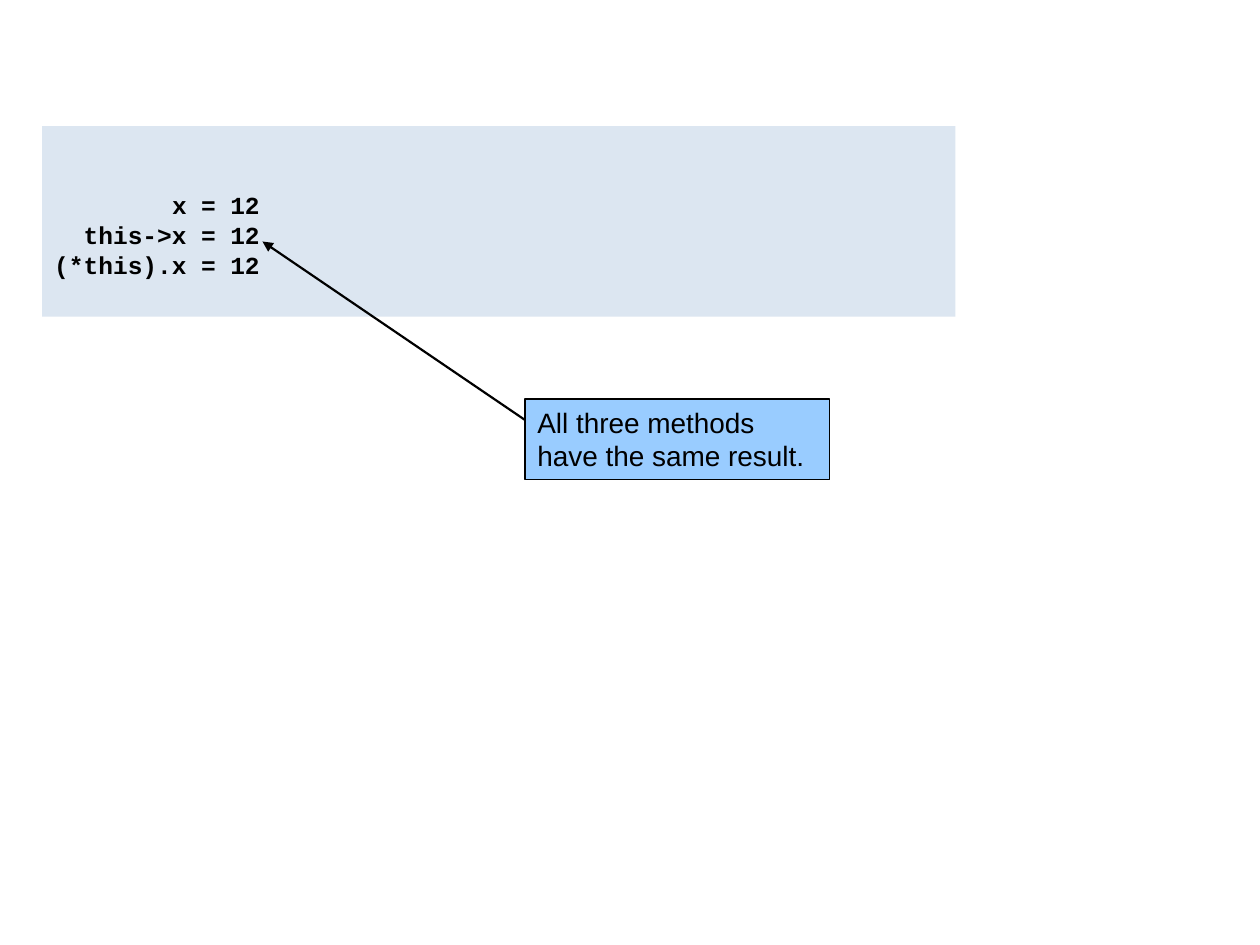
from dataclasses import dataclass
from lxml.etree import SubElement
from pptx import Presentation
from pptx.dml.color import RGBColor
from pptx.enum.shapes import MSO_CONNECTOR, MSO_SHAPE
from pptx.enum.text import MSO_ANCHOR, PP_ALIGN as Align
from pptx.oxml.ns import qn
from pptx.util import Pt

PANEL, CALLOUT, INK = "DCE6F1", "99CCFF", "000000"
CODE = dict(name="Courier New", size=Pt(14), bold=True)
NOTE = dict(name="Arial", size=Pt(16), bold=False)


@dataclass
class Box:
    x: float
    y: float
    w: float
    h: float
    fill: str
    line: str = ""


@dataclass
class Column:
    width: float
    align: Align
    left: float = 0
    right: float = 0


COLUMNS = [
    Column(82, Align.RIGHT, right=4),
    Column(16.6, Align.CENTER),
    Column(23.8, Align.CENTER, left=1.5),
]
STATEMENTS = [(target, "=", "12") for target in ("x", "this->x", "(*this).x")]


def color(value: str) -> RGBColor:
    return RGBColor.from_string(value)


def paint(target, value: str) -> None:
    target.fill.solid()
    target.fill.fore_color.rgb = color(value)


def set_insets(target, left: float, top: float, right: float) -> None:
    insets = dict(left=left, top=top, right=right, bottom=0)
    for side, value in insets.items():
        setattr(target, f"margin_{side}", Pt(value))


def write(tf, text: str, fmt: dict, align: Align, spacing: float = 1) -> None:
    p = tf.paragraphs[0]
    p.alignment = align
    p.line_spacing = spacing
    r = p.add_run()
    r.text = text
    for key, value in fmt.items():
        setattr(r.font, key, value)
    r.font.color.rgb = color(INK)


def add_box(s, box: Box):
    sp = s.shapes.add_shape(
        MSO_SHAPE.RECTANGLE, Pt(box.x), Pt(box.y), Pt(box.w), Pt(box.h))
    sp.shadow.inherit = False
    paint(sp, box.fill)
    if box.line:
        sp.line.color.rgb = color(box.line)
        sp.line.width = Pt(0.75)
    else:
        sp.line.fill.background()
    return sp


def add_statements(s, x: float, y: float, row_height: float) -> None:
    width = sum(c.width for c in COLUMNS)
    rows = len(STATEMENTS)
    table = s.shapes.add_table(
        rows, len(COLUMNS), Pt(x), Pt(y), Pt(width), Pt(rows * row_height)).table
    table.first_row = table.horz_banding = False
    for i, column in enumerate(COLUMNS):
        table.columns[i].width = Pt(column.width)
    for i, statement in enumerate(STATEMENTS):
        table.rows[i].height = Pt(row_height)
        for j, (text, column) in enumerate(zip(statement, COLUMNS)):
            cell = table.cell(i, j)
            paint(cell, PANEL)
            set_insets(cell, column.left, 0, column.right)
            for side in ("lnL", "lnR", "lnT", "lnB"):
                ln = cell._tc.tcPr.makeelement(qn(f"a:{side}"), {"w": "0"})
                SubElement(ln, qn("a:noFill"))
                cell._tc.tcPr.insert(len(cell._tc.tcPr) - 1, ln)
            write(cell.text_frame, text, CODE, column.align, 1.07 if i else 1.04)


def add_arrow(s, x1: float, y1: float, x2: float, y2: float) -> None:
    arrow = s.shapes.add_connector(
        MSO_CONNECTOR.STRAIGHT, Pt(x1), Pt(y1), Pt(x2), Pt(y2))
    arrow.line.color.rgb = color(INK)
    arrow.line.width = Pt(1.25)
    SubElement(arrow.line._get_or_add_ln(), qn("a:tailEnd"), type="triangle")
    SubElement(arrow._element.spPr, qn("a:effectLst"))


def main() -> None:
    prs = Presentation()
    prs.slide_width, prs.slide_height = Pt(720), Pt(540)
    s = prs.slides.add_slide(prs.slide_layouts[6])
    add_box(s, Box(24, 72, 522, 109, PANEL))
    add_statements(s, 28.8, 110.2, 16.8)
    sp = add_box(s, Box(300, 228, 174, 46, CALLOUT, INK))
    tf = sp.text_frame
    tf.word_wrap = True
    tf.vertical_anchor = MSO_ANCHOR.TOP
    set_insets(tf, 7.2, 3.6, 10)
    write(tf, "All three methods have the same result.", NOTE, Align.LEFT)
    add_arrow(s, 300, 240, 150, 138)
    prs.save("out.pptx")


if __name__ == "__main__":
    main()
